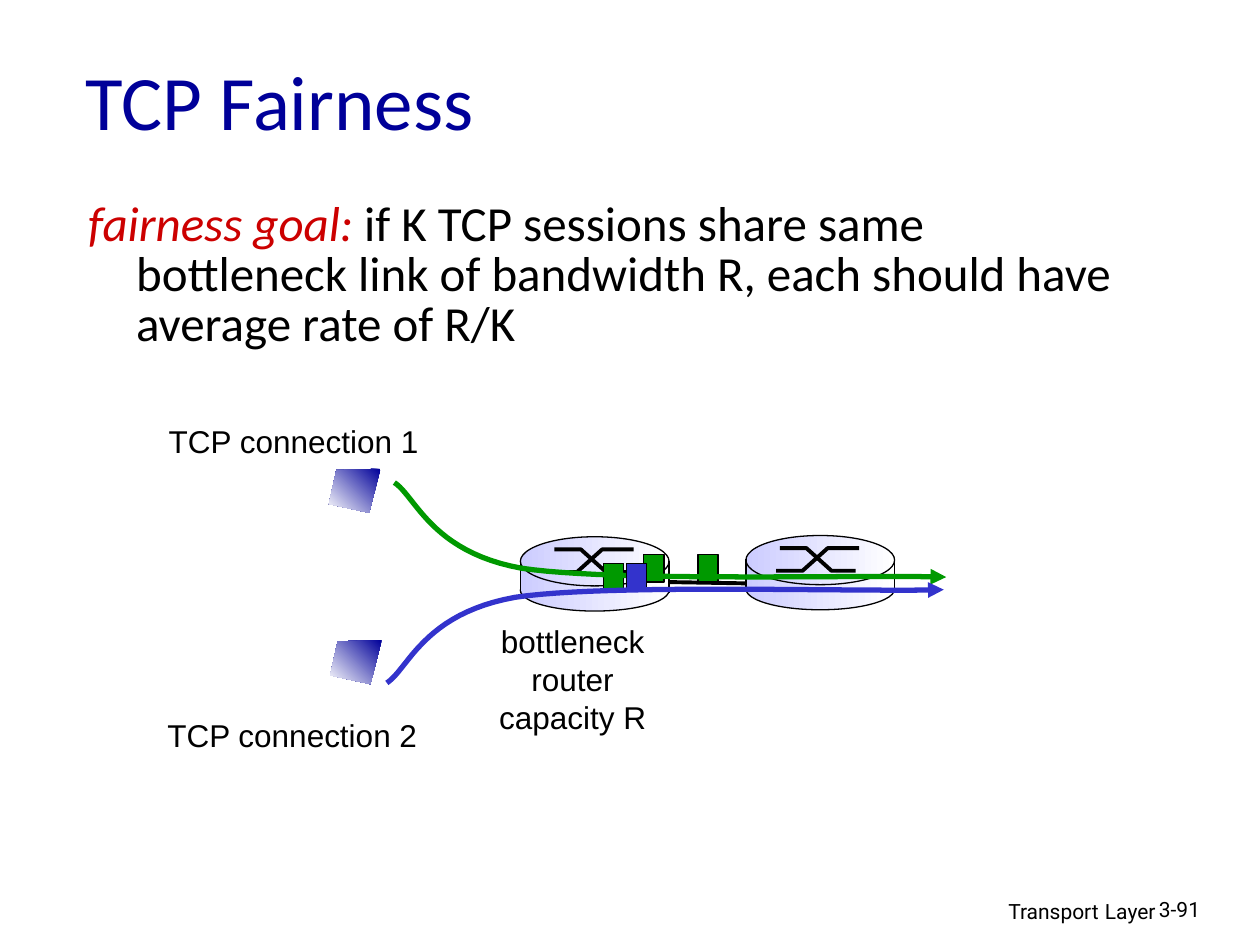
from dataclasses import dataclass

from lxml import etree
from pptx import Presentation
from pptx.dml.color import RGBColor
from pptx.enum.shapes import MSO_CONNECTOR, MSO_SHAPE
from pptx.enum.text import MSO_ANCHOR, PP_ALIGN
from pptx.oxml.ns import qn
from pptx.util import Inches, Pt

LEFT, CENTER, RIGHT = PP_ALIGN.LEFT, PP_ALIGN.CENTER, PP_ALIGN.RIGHT
MIDDLE = MSO_ANCHOR.MIDDLE
RECT, OVAL = MSO_SHAPE.RECTANGLE, MSO_SHAPE.OVAL
STRAIGHT = MSO_CONNECTOR.STRAIGHT


@dataclass(frozen=True)
class Theme:
    head: str = "Calibri"
    label: str = "Arial"
    foot: str = "Roboto"
    title_size: int = 44
    body_size: int = 28
    label_size: int = 18
    foot_size: int = 12
    gap_size: int = 14
    navy: str = "000099"
    red: str = "CC0000"
    black: str = "000000"
    white: str = "FFFFFF"
    lilac: str = "CCCCFF"
    green: str = "009900"
    blue: str = "3333CC"
    thin: float = 0.75
    bold: float = 2.25
    flow: float = 3


T = Theme()

TITLE = "TCP Fairness"
GOAL = "fairness goal:"
RULE = (" if K TCP sessions share same bottleneck link of bandwidth R, "
        "each should have average rate of R/K")
LABELS = [
    (["TCP connection 1"], (1.24, 3.3, 2.19, 0.4), LEFT),
    (["TCP connection 2"], (1.23, 5.63, 2.19, 0.4), LEFT),
    (["bottleneck", "router", "capacity R"], (3.86, 4.89, 1.37, 1), CENTER),
]
FOOT = ["Transport", " ", "Layer"]
PAGE = "3-91"

ROUTERS = [(4.13, 4.26), (5.92, 4.25)]
ROUTER_W = 1.18
LINK = ((5.31, 4.62), (5.92, 4.63))
CROSS = [  # offsets from a router's corner
    [(0.24, 0.28), (0.45, 0.28), (0.65, 0.1), (0.9, 0.1)],
    [(0.27, 0.1), (0.48, 0.1), (0.68, 0.28), (0.87, 0.28)],
]
SCREENS = [(2.61, 3.72), (2.62, 5.08)]
SCREEN = [(0.41, 0), (0.06, 0.01), (0, 0.28), (0.32, 0.35)]
PACKET = (0.16, 0.22)
FLOWS = [  # colour, packet corners, start point and two Bezier pieces
    (T.green, [(5.54, 4.4), (4.79, 4.47), (5.11, 4.4)],
     [(3.13, 3.83), (3.3, 3.94), (3.42, 4.38), (4.14, 4.51),
      (4.87, 4.62), (6.81, 4.56), (7.51, 4.58)]),
    (T.blue, [(4.97, 4.47)],
     [(3.07, 5.42), (3.24, 5.31), (3.36, 4.87), (4.09, 4.74),
      (4.83, 4.63), (6.79, 4.7), (7.49, 4.68)]),
]
STEPS = 24


def rgb(color):
    return RGBColor.from_string(color)


def place(shape, box):
    shape.left, shape.top, shape.width, shape.height = map(Inches, box)


def style(font, name, size, color):
    font.name, font.size = name, Pt(size)
    font.color.rgb = rgb(color)


def shade(shape, start, angle):
    shape.fill.gradient()
    shape.fill.gradient_angle = angle
    for stop, color in zip(shape.fill.gradient_stops, (start, T.white)):
        stop.color.rgb = rgb(color)


def stroke(shape, color, width):
    shape.line.color.rgb = rgb(color)
    shape.line.width = Pt(width)


def add_shape(slide, kind, box, line=True):
    shape = slide.shapes.add_shape(kind, *map(Inches, box))
    shape.shadow.inherit = False
    if line:
        stroke(shape, T.black, T.thin)
    else:
        shape.line.fill.background()
    return shape


def add_line(slide, start, end, width):
    line = slide.shapes.add_connector(STRAIGHT, *map(Inches, start + end))
    stroke(line, T.black, width)
    etree.SubElement(line._element.spPr, qn("a:effectLst"))


def add_path(slide, points, close=False):
    spots = [(Inches(x), Inches(y)) for x, y in points]
    pen = slide.shapes.build_freeform(*spots[0])
    pen.add_line_segments(spots[1:], close=close)
    shape = pen.convert_to_shape()
    shape.shadow.inherit = False
    return shape


def shift(points, x, y):
    return [(x + dx, y + dy) for dx, dy in points]


def curve(points):
    """Sample a chain of cubic Bezier pieces."""
    spots = [points[0]]
    for i in range(0, len(points) - 1, 3):
        for step in range(1, STEPS + 1):
            t = step / STEPS
            u = 1 - t
            parts = (u ** 3, 3 * u * u * t, 3 * u * t * t, t ** 3)
            spots.append(tuple(
                sum(k * p[axis] for k, p in zip(parts, points[i:i + 4]))
                for axis in (0, 1)))
    return spots


def add_router(slide, x, y):
    for kind, dy, height, line in ((OVAL, 0.26, 0.33, True),
                                   (RECT, 0.23, 0.2, False),
                                   (OVAL, 0, 0.39, True)):
        part = add_shape(slide, kind, (x, y + dy, ROUTER_W, height), line)
        shade(part, T.lilac, 0)
    for points in CROSS:
        mark = add_path(slide, shift(points, x, y))
        mark.fill.background()
        stroke(mark, T.black, T.bold)
    for side in (x, x + ROUTER_W):
        add_line(slide, (side, y + 0.19), (side, y + 0.45), T.thin)


def add_flow(slide, color, packets, points):
    for corner in packets:
        packet = add_shape(slide, RECT, corner + PACKET)
        packet.fill.solid()
        packet.fill.fore_color.rgb = rgb(color)
    path = add_path(slide, curve(points))
    path.fill.background()
    stroke(path, color, T.flow)
    etree.SubElement(path.line._get_or_add_ln(), qn("a:tailEnd"), type="triangle")


def add_text(slide, lines, box, align, font, size, wrap=False):
    area = slide.shapes.add_textbox(*map(Inches, box))
    frame = area.text_frame
    frame.word_wrap = wrap
    frame.text = "\n".join(lines)
    for para in frame.paragraphs:
        para.alignment = align
        style(para.font, font, size, T.black)
    return frame


def fill_holders(slide):
    title, body = slide.shapes.title, slide.placeholders[1]
    place(title, (0.58, 0.17, 8.5, 1.25))
    title.text_frame.text = TITLE
    title.text_frame.vertical_anchor = MIDDLE
    para = title.text_frame.paragraphs[0]
    para.alignment = LEFT
    style(para.font, T.head, T.title_size, T.navy)

    place(body, (0.6, 1.55, 8.33, 2.4))
    para = body.text_frame.paragraphs[0]
    props = para._p.get_or_add_pPr()
    props.set("marL", str(Inches(0.38)))
    props.set("indent", str(Inches(-0.38)))
    etree.SubElement(props, qn("a:buNone"))
    para.line_spacing, para.space_before = 0.85, Pt(0)
    for text, color in ((GOAL, T.red), (RULE, T.black)):
        run = para.add_run()
        run.text = text
        style(run.font, T.head, T.body_size, color)
        run.font.italic = text == GOAL


def main():
    deck = Presentation()
    deck.slide_width, deck.slide_height = Inches(10), Inches(7.5)
    slide = deck.slides.add_slide(deck.slide_layouts[1])
    fill_holders(slide)
    add_line(slide, *LINK, T.bold)
    for corner in ROUTERS:
        add_router(slide, *corner)
    for flow in FLOWS:
        add_flow(slide, *flow)
    for corner in SCREENS:
        screen = add_path(slide, shift(SCREEN, *corner), close=True)
        shade(screen, T.navy, 225)
        screen.line.fill.background()
    for lines, box, align in LABELS:
        add_text(slide, lines, box, align, T.label, T.label_size)
    foot = add_text(slide, [""], (6.1, 7.05, 3.17, 0.31), RIGHT,
                    T.foot, T.foot_size, wrap=True).paragraphs[0]
    for word in FOOT:
        run = foot.add_run()
        run.text = word
        if word == " ":
            run.font.size = Pt(T.gap_size)
    add_text(slide, [PAGE], (9.1, 7.07, 0.74, 0.3), LEFT,
             T.foot, T.foot_size, wrap=True)
    deck.save("out.pptx")


if __name__ == "__main__":
    main()
